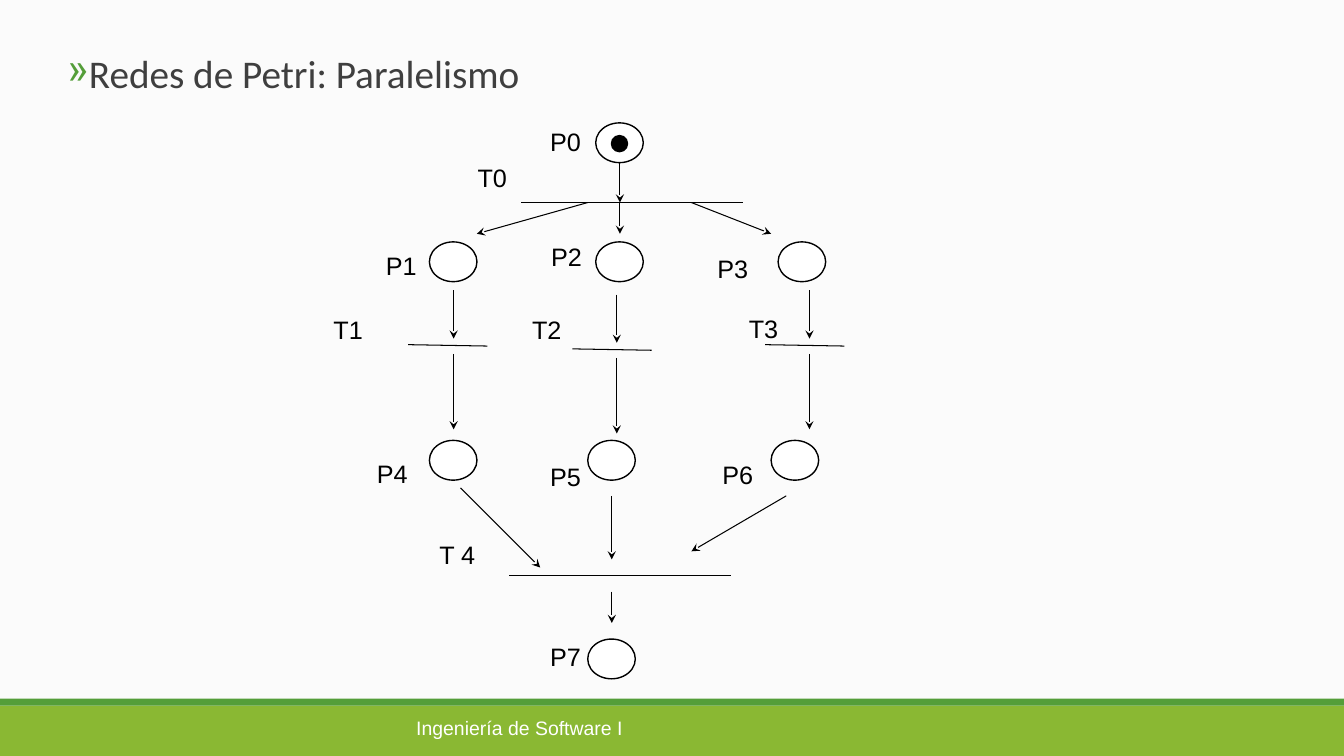
from lxml import etree
from pptx import Presentation
from pptx.dml.color import RGBColor
from pptx.enum import shapes, text
from pptx.oxml import ns
from pptx.util import Pt

COLORS = {"background": "FBFBFB", "band": "8AB833", "stripe": "549E39",
          "title": "3F3F3F", "ink": "000000", "paper": "FFFFFF"}
PLACE_WIDTH, PLACE_HEIGHT = 34, 28.4
TOKEN = 11.5


def color(name):
    return RGBColor.from_string(COLORS[name])


class PetriSlide:
    """Holds the style and the current slide."""
    label_format = {"size": Pt(18), "name": "Arial"}
    footer_format = {"size": Pt(13.9), "name": "Arial"}
    title_format = {"size": Pt(28), "name": "Calibri"}

    def __init__(self, slide):
        self.slide = slide
        slide.background.fill.solid()
        slide.background.fill.fore_color.rgb = color("background")

    def shape(self, kind, left, top, width, height, fill, outline=None):
        shape = self.slide.shapes.add_shape(
            kind, Pt(left), Pt(top), Pt(width), Pt(height))
        shape.shadow.inherit = False
        shape.fill.solid()
        shape.fill.fore_color.rgb = color(fill)
        if outline:
            shape.line.color.rgb = color(outline)
            shape.line.width = Pt(1)
        else:
            shape.line.fill.background()

    def rectangle(self, left, top, width, height, fill):
        self.shape(shapes.MSO_SHAPE.RECTANGLE, left, top, width, height, fill)

    def ellipse(self, left, top, width, height, fill):
        self.shape(shapes.MSO_SHAPE.OVAL, left, top, width, height, fill, "ink")

    def text(self, words, left, top, width, height, formats, ink, wrap=True):
        box = self.slide.shapes.add_textbox(
            Pt(left), Pt(top), Pt(width), Pt(height))
        box.text_frame.word_wrap = wrap
        box.text_frame.vertical_anchor = text.MSO_ANCHOR.TOP
        paragraph = box.text_frame.paragraphs[0]
        run = paragraph.add_run()
        run.text = words
        for name, value in formats.items():
            setattr(run.font, name, value)
        run.font.color.rgb = color(ink)
        return paragraph

    def label(self, words, left, top):
        self.text(words, left, top, 52, 28.8, self.label_format, "ink", wrap=False)

    def bullet(self, paragraph, character, bullet_color, margin, indent):
        properties = paragraph._p.get_or_add_pPr()
        properties.set("marL", str(Pt(margin)))
        properties.set("indent", str(Pt(indent)))
        holder = etree.SubElement(properties, ns.qn("a:buClr"))
        etree.SubElement(holder, ns.qn("a:srgbClr"), val=COLORS[bullet_color])
        etree.SubElement(properties, ns.qn("a:buChar"), char=character)

    def line(self, x1, y1, x2, y2):
        connector = self.slide.shapes.add_connector(
            shapes.MSO_CONNECTOR.STRAIGHT, Pt(x1), Pt(y1), Pt(x2), Pt(y2))
        connector.line.color.rgb = color("ink")
        connector.line.width = Pt(0.75)
        etree.SubElement(connector._element.spPr, ns.qn("a:effectLst"))
        return connector

    def arrow(self, x1, y1, x2, y2):
        line = self.line(x1, y1, x2, y2).line._get_or_add_ln()
        etree.SubElement(line, ns.qn("a:tailEnd"), type="stealth")


def main():
    presentation = Presentation()
    presentation.slide_width, presentation.slide_height = Pt(960), Pt(540)
    petri = PetriSlide(presentation.slides.add_slide(presentation.slide_layouts[6]))

    # Footer
    petri.rectangle(0, 504, 960, 36, "band")
    petri.rectangle(0, 499, 960, 5, "stripe")
    petri.text("Ingeniería de Software I", 290.2, 508.3, 379.4, 28.8,
               petri.footer_format, "paper")

    # Title
    title = petri.text("Redes de Petri: Paralelismo", 41, 36.7, 800, 74,
                       petri.title_format, "title")
    title.line_spacing = 0.85
    petri.bullet(title, "»", "stripe", 5, -13.7)

    # Places: left and top of the circle, then of its label
    places = [(425.5, 87.8, 385.9, 86.4), (306.7, 172.8, 268.6, 175),
              (425.5, 172.8, 386.6, 168.5), (555.8, 172.8, 505.4, 177.1),
              (306.7, 314.6, 262.1, 324), (419.8, 314.6, 385.9, 326.2),
              (550.8, 314.6, 509, 324.7), (419.8, 456.5, 385.9, 454.3)]
    for number, (left, top, label_left, label_top) in enumerate(places):
        petri.ellipse(left, top, PLACE_WIDTH, PLACE_HEIGHT, "paper")
        petri.label(f"P{number}", label_left, label_top)

    # Token in P0
    left, top = places[0][:2]
    petri.ellipse(left + (PLACE_WIDTH - TOKEN) / 2,
                  top + (PLACE_HEIGHT - TOKEN) / 2 + 0.6, TOKEN, TOKEN, "ink")

    # Fork T0 and join T4
    fork, join = 144.7, 411.1
    for left, y in [(372.2, fork), (363.6, join)]:
        petri.line(left, y, left + 158.4, y)
    for arrow in [(442.8, 116.6, 442.8, fork), (419.8, fork, 340.6, 167),
                  (442.8, fork, 442.8, 167), (493.9, fork, 550.8, 167),
                  (329, 348.5, 385.9, 405.4), (437, 354.2, 437, 399.6),
                  (561.6, 354.2, 493.9, 393.8), (437, 422.6, 437, 445)]:
        petri.arrow(*arrow)

    # Parallel branches: arrow x, bar left and downward shift
    for x, bar_left, shift in [(324, 291.6, 0), (440.6, 408.8, 3),
                               (578.2, 546.5, 0)]:
        petri.arrow(x, 207.4 + shift, x, 241.9 + shift)
        petri.line(bar_left, 246.2 + shift, bar_left + 56.6, 247.2 + shift)
        petri.arrow(x, 252.7 + shift, x, 306.7 + shift)

    # Transition labels
    for words, left, top in [("T0", 334.1, 112.3), ("T1", 231.1, 221),
                             ("T2", 373, 221), ("T3", 527.8, 220.3),
                             ("T 4", 306.7, 381.6)]:
        petri.label(words, left, top)

    presentation.save("out.pptx")


if __name__ == "__main__":
    main()
